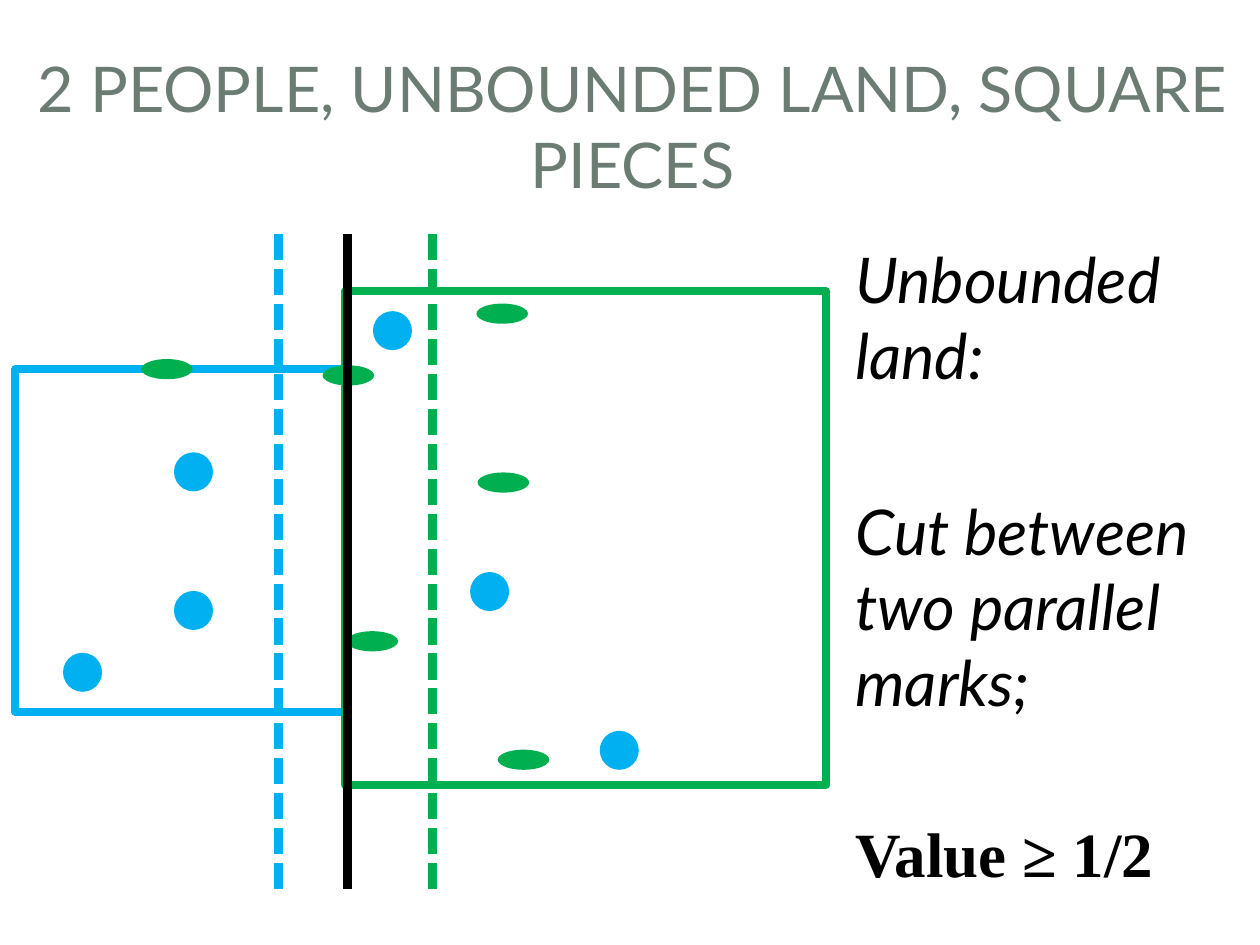
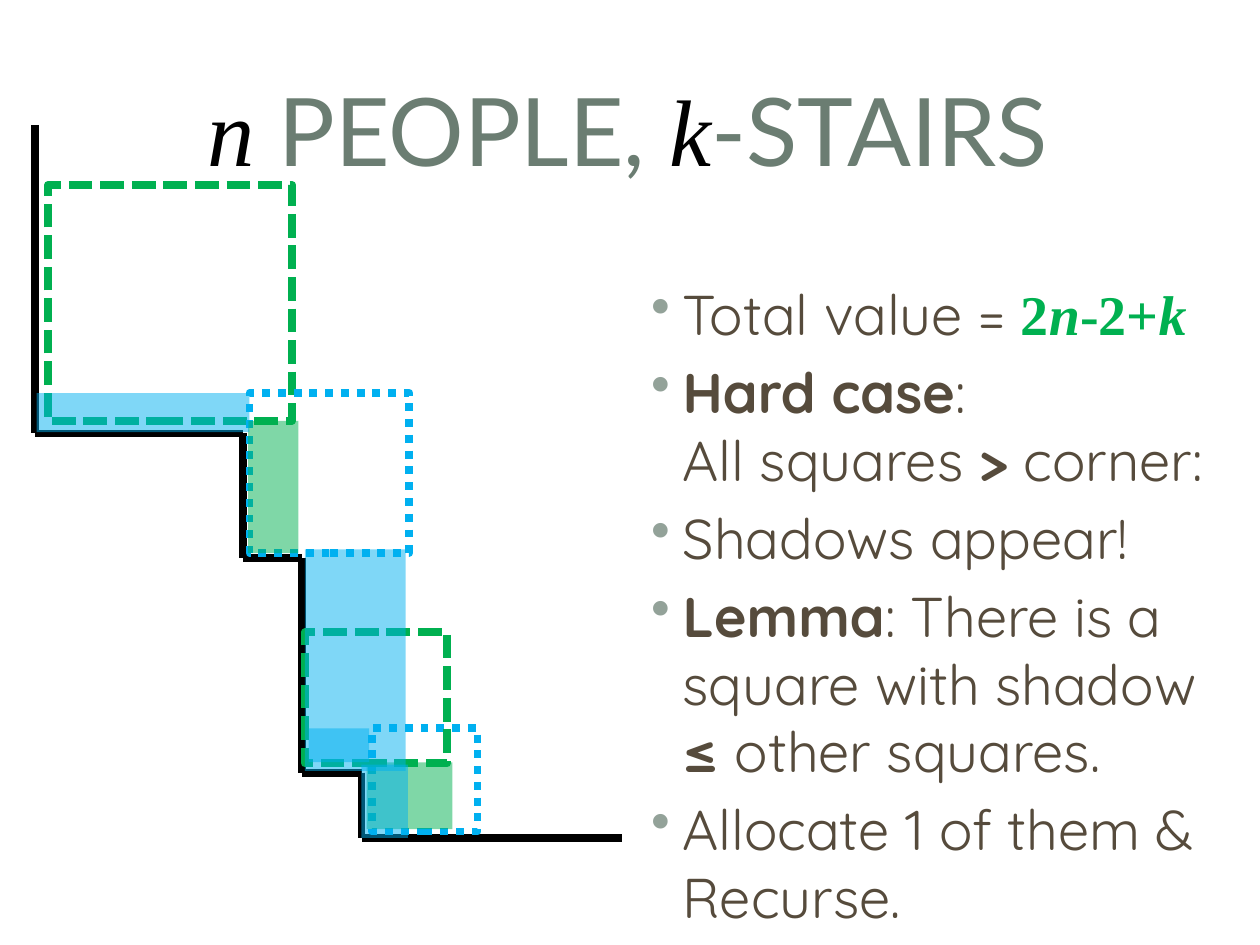
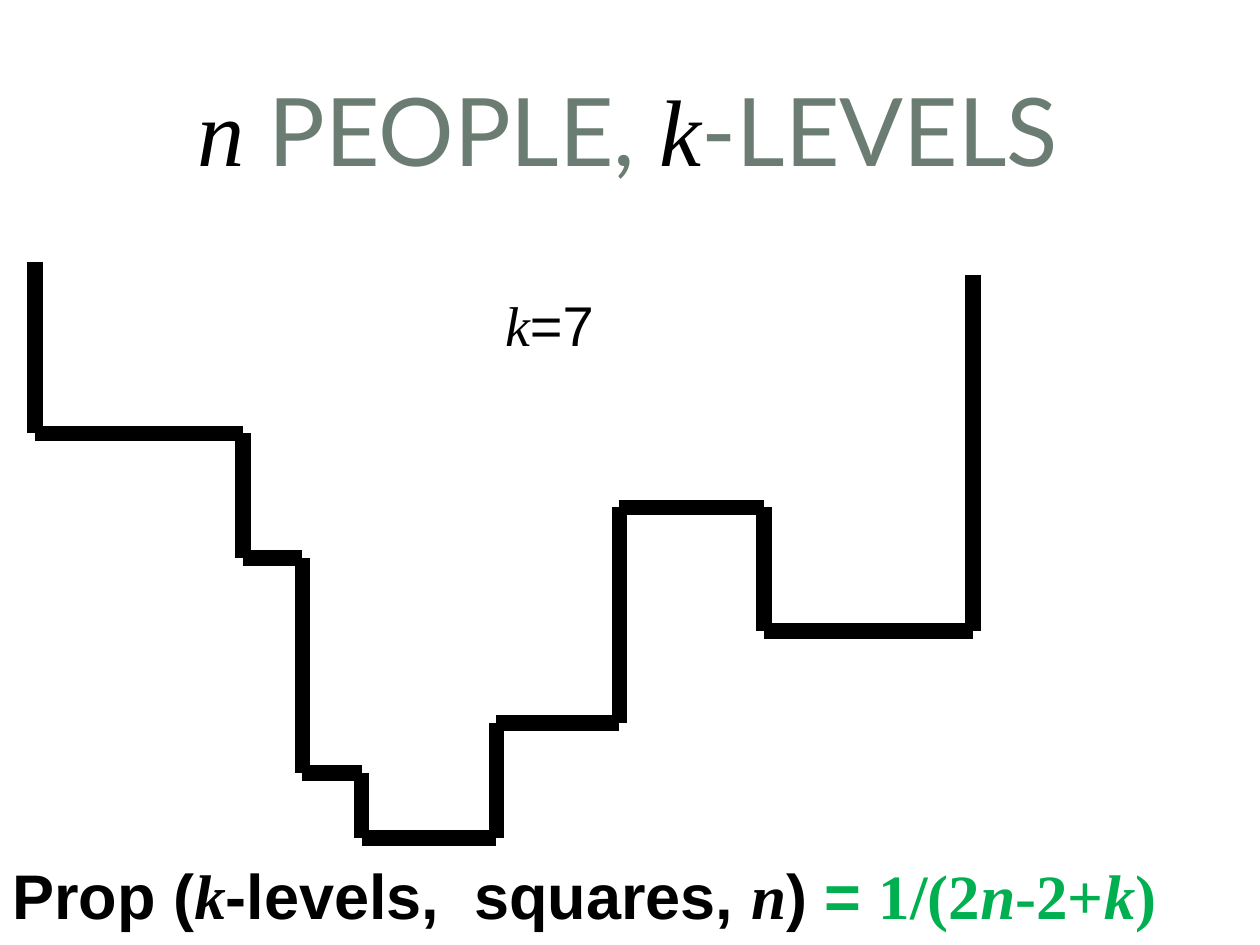
"""Builds three slides on cutting land into square pieces."""
from lxml import etree
from pptx import Presentation
from pptx.dml.color import RGBColor
from pptx.enum import dml, shapes, text
from pptx.oxml import ns
from pptx.util import Pt

BLACK = RGBColor(0x00, 0x00, 0x00)
SAGE = RGBColor(0x6B, 0x7D, 0x72)
BULLET = RGBColor(0x93, 0xA2, 0x99)
BROWN = RGBColor(0x56, 0x4B, 0x3C)
BLUE = RGBColor(0x00, 0xB0, 0xF0)
GREEN = RGBColor(0x00, 0xB0, 0x50)

DASH = dml.MSO_LINE.SQUARE_DOT
DOT = dml.MSO_LINE.ROUND_DOT
RECT = shapes.MSO_SHAPE.RECTANGLE
OVAL = shapes.MSO_SHAPE.OVAL

HEAD = dict(name="Lato", color=SAGE)
SYMBOL = dict(name="Times New Roman", color=BLACK, italic=True)
NOTE = dict(name="Lato", color=BLACK, italic=True)
BODY = dict(name="Quicksand", color=BROWN)
BOLD = {**BODY, "bold": True}
PLAIN = dict(name="Arial", color=BLACK)
CLAIM = {**PLAIN, "bold": True}
CLAIM_SYMBOL = {**SYMBOL, "bold": True}
VALUE = dict(name="Times New Roman", color=BLACK, bold=True)
RESULT = {**VALUE, "color": GREEN}
RESULT_SYMBOL = {**RESULT, "italic": True}


class Deck:
    """Holds the presentation, the current slide and the drawing style."""

    def __init__(self):
        self.prs = Presentation()
        self.prs.slide_width, self.prs.slide_height = Pt(720), Pt(540)
        self.s = None

    def slide(self):
        self.s = self.prs.slides.add_slide(self.prs.slide_layouts[6])

    def text(self, box, paras, size, indent=(0, 0), bullet=None, wrap=True,
             anchor=text.MSO_ANCHOR.TOP, **para_format):
        """Adds a text box; each paragraph is a pair of space before and runs."""
        tf = self.s.shapes.add_textbox(*map(Pt, box)).text_frame
        tf.word_wrap, tf.vertical_anchor = wrap, anchor
        for i, (before, runs) in enumerate(paras):
            p = tf.paragraphs[0] if i == 0 else tf.add_paragraph()
            p.space_before = Pt(before)
            for key, value in para_format.items():
                setattr(p, key, value)
            pPr = p._p.get_or_add_pPr()
            for key, value in zip(("marL", "indent"), indent):
                pPr.set(key, str(Pt(value)))
            if bullet:
                clr = etree.SubElement(pPr, ns.qn("a:buClr"))
                etree.SubElement(clr, ns.qn("a:srgbClr"), val=str(BULLET))
                etree.SubElement(pPr, ns.qn("a:buChar"), char=bullet)
            for words, style in runs:
                for n, line in enumerate(words.split("\n")):
                    if n:
                        p.add_line_break()
                    if line:
                        self.run(p, line, size, style)

    def run(self, p, words, size, style):
        r = p.add_run()
        r.text, r.font.size = words, Pt(size)
        for key, value in style.items():
            if key == "color":
                r.font.color.rgb = value
            else:
                setattr(r.font, key, value)

    def title(self, runs, size=54, box=(33.84, 32.4, 650, 82)):
        self.text(box, [(0, runs)], size, anchor=text.MSO_ANCHOR.MIDDLE,
                  alignment=text.PP_ALIGN.CENTER)

    def shape(self, kind, box):
        sp = self.s.shapes.add_shape(kind, *map(Pt, box))
        sp.shadow.inherit = False
        return sp

    def filled(self, kind, box, color, alpha=None):
        sp = self.shape(kind, box)
        sp.fill.solid()
        sp.fill.fore_color.rgb = color
        sp.line.fill.background()
        if alpha:
            clr = sp._element.spPr.find(ns.qn("a:solidFill"))[0]
            etree.SubElement(clr, ns.qn("a:alpha"), val=str(alpha * 1000))

    def outline(self, box, color, dash=None):
        sp = self.shape(RECT, box)
        sp.fill.background()
        self.stroke(sp.line, color, 4.5, dash)

    def stroke(self, line, color, width, dash=None):
        line.color.rgb, line.width = color, Pt(width)
        if dash:
            line.dash_style = dash

    def polyline(self, points, color, width, dash=None):
        for start, end in zip(points, points[1:]):
            c = self.s.shapes.add_connector(
                shapes.MSO_CONNECTOR.STRAIGHT, *map(Pt, start + end))
            self.stroke(c.line, color, width, dash)
            etree.SubElement(c._element.spPr, ns.qn("a:effectLst"))


def symbol_title(deck, ending):
    deck.title([("n ", SYMBOL), ("PEOPLE, ", HEAD), ("k", SYMBOL), (ending, HEAD)])


STAIRS = [(20.16, 247.7), (139, 247.7), (139, 319), (172.8, 319),
          (172.8, 441.5), (206.6, 441.5), (206.6, 478.8)]
BLUE_DOTS = [(99.4, 258.5), (99.4, 337.7), (213.1, 177.8),
             (342.7, 417.6), (268.6, 326.9), (36, 373)]
GREEN_DOTS = [(272.9, 270), (184.3, 208.8), (272.2, 173.5),
              (198, 360.7), (80.6, 205.2), (284.4, 428.4)]

deck = Deck()

deck.slide()
deck.title([("2 PEOPLE, UNBOUNDED LAND, SQUARE PIECES", HEAD)],
           36, (-1.44, 9.36, 725.8, 124.6))
deck.text((473, 133.9, 226.8, 374.4), [
    (0, [("Unbounded land:", NOTE)]),
    (57.4, [("Cut between two parallel marks;", NOTE)]),
    (54.5, [("Value ≥ 1/2", VALUE)]),
], 36, indent=(8.64, 0))
deck.polyline([(159.1, 133.9), (159.1, 508.3)], BLUE, 5, DASH)
deck.outline((8.64, 211, 189.4, 195.8), BLUE)
deck.outline((197.3, 166.3, 275, 282.2), GREEN)
for dots, size, color in ((BLUE_DOTS, (22.3, 22.3), BLUE),
                          (GREEN_DOTS, (29.5, 11.5), GREEN)):
    for dot in dots:
        deck.filled(OVAL, dot + size, color)
deck.polyline([(247, 133.9), (247, 508.3)], GREEN, 5, DASH)
deck.polyline([(198.7, 133.9), (198.7, 508.3)], BLACK, 5)

deck.slide()
symbol_title(deck, "-STAIRS")
deck.polyline([(20.16, 71.3)] + STAIRS + [(355.7, 478.8)], BLACK, 4.5)
bullets = [
    [("Total value = ", BODY), ("2", RESULT), ("n", RESULT_SYMBOL),
     ("-2+", RESULT), ("k", RESULT_SYMBOL)],
    [("Hard case", BOLD), (": \nAll squares ", BODY), (">", BOLD), (" corner:", BODY)],
    [("Shadows appear!", BODY)],
    [("Lemma", BOLD), (": There is a square with shadow \n", BODY),
     ("≤ ", BOLD), ("other squares.", BODY)],
    [("Allocate 1 of them & Recurse.", BODY)],
]
deck.text((355.7, 156.2, 388, 391.7), [(6.4, runs) for runs in bullets],
          32, indent=(27.36, -18), bullet="•")
for box, color, dash in (
        ((27.4, 105.8, 139.7, 134.6), GREEN, DASH),
        ((212.4, 416.2, 60.5, 59), BLUE, DOT),
        ((174.2, 361.4, 81.4, 74.9), GREEN, DASH),
        ((142.6, 224.6, 91.4, 91.4), BLUE, DOT)):
    deck.outline(box, color, dash)
for box, color in (
        ((141.8, 240.5, 28.8, 75.6), GREEN),
        ((209.5, 435.6, 49, 38.2), GREEN),
        ((174.2, 313.9, 57.6, 126.7), BLUE),
        ((176.4, 416.2, 34.6, 19.4), BLUE),
        ((20.9, 224.6, 121.7, 22.3), BLUE),
        ((206.6, 437, 26.6, 41.8), BLUE)):
    deck.filled(RECT, box, color, 50)

deck.slide()
symbol_title(deck, "-LEVELS")
deck.text((0, 489.6, 734.4, 47.5), [(0, [
    ("Prop (", CLAIM), ("k", CLAIM_SYMBOL), ("-levels,  squares, ", CLAIM),
    ("n", CLAIM_SYMBOL), (") ", CLAIM), ("= ", {**CLAIM, "color": GREEN}),
    ("1/(2", RESULT), ("n", RESULT_SYMBOL), ("-2+", RESULT),
    ("k", RESULT_SYMBOL), (")", RESULT),
])], 36, line_spacing=0.93)
deck.polyline([(20.16, 149.8)] + STAIRS + [
    (283.7, 478.8), (283.7, 413), (354, 413), (354, 290), (436.7, 290),
    (436.7, 360.7), (555.8, 360.7), (555.8, 157)], BLACK, 9)
deck.text((281.5, 165.6, 65.5, 43.9), [(0, [("k", SYMBOL), ("=7", PLAIN)])],
          32, wrap=False, line_spacing=0.93)

deck.prs.save("out.pptx")
